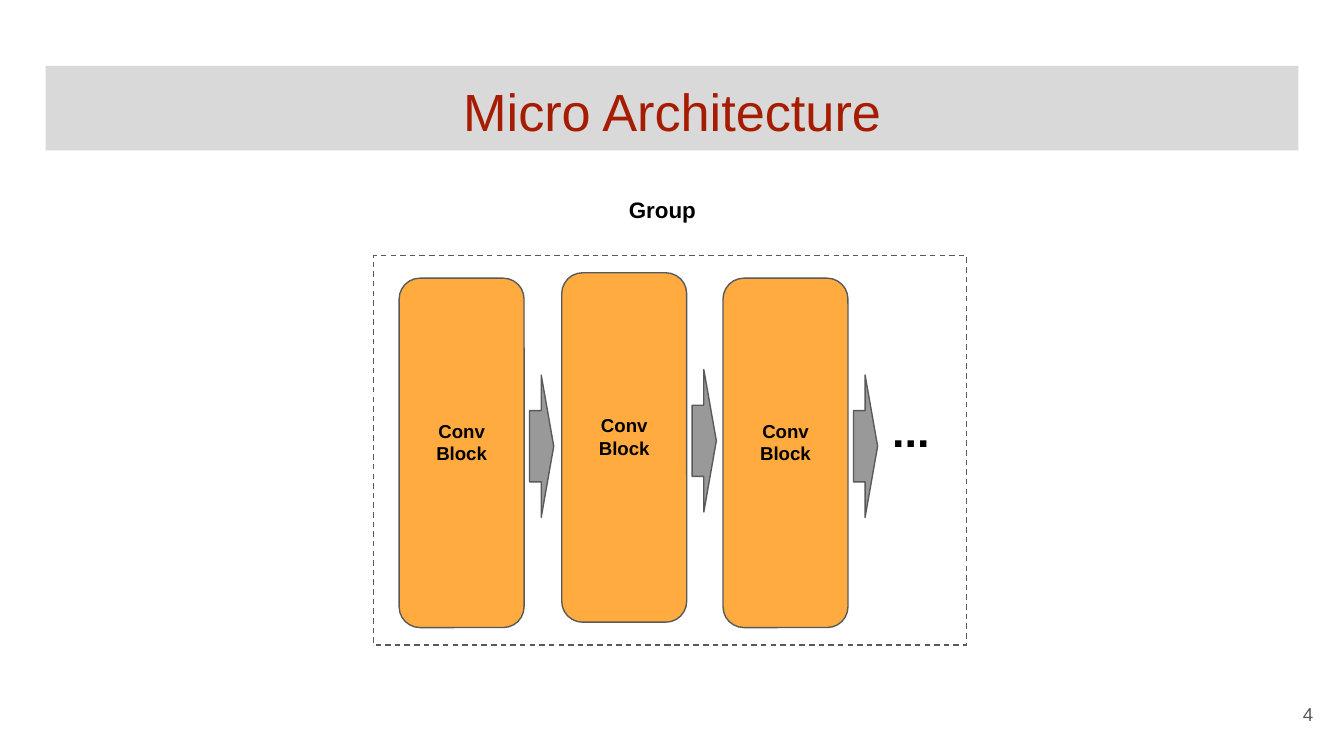
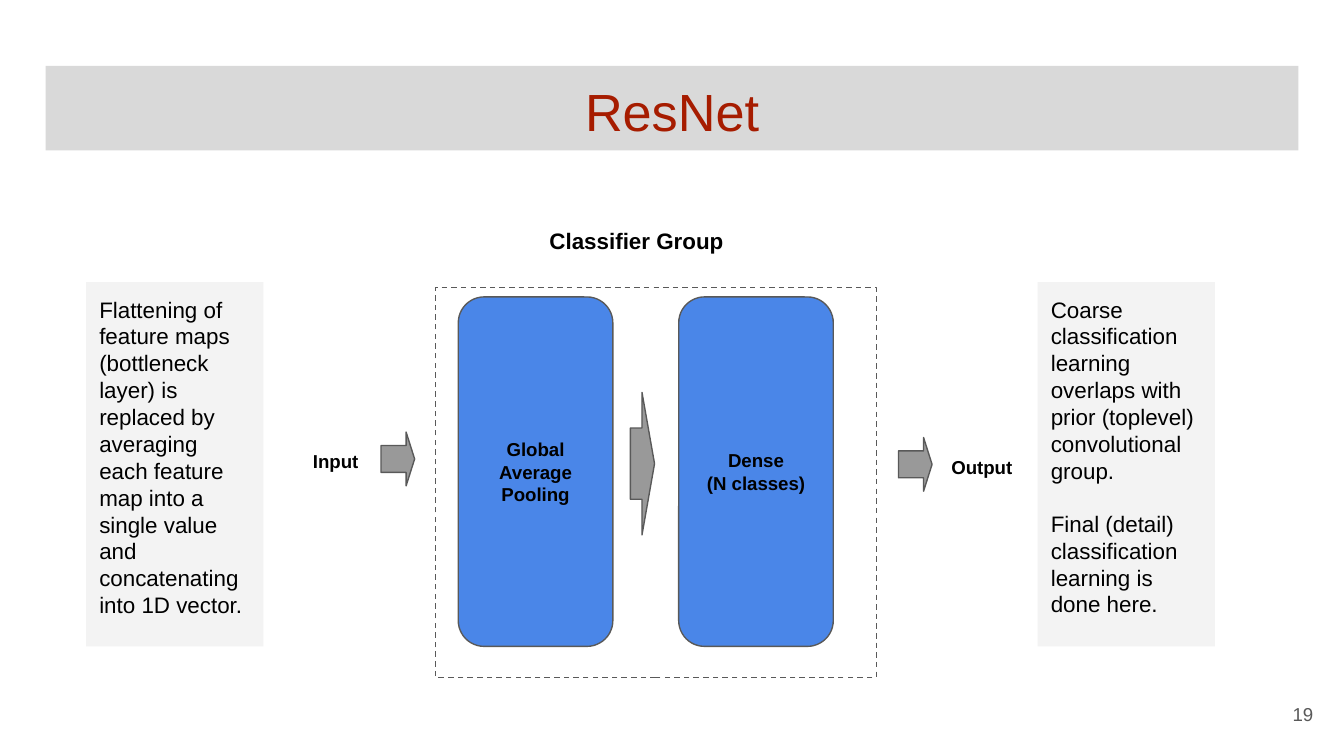
"""Build two slides that show network blocks as diagrams."""
from pptx import Presentation, util as u
from pptx.dml.color import RGBColor
from pptx.enum import dml, shapes, text

PX = 9144
SLIDE_WIDTH = 1000
FONT = "Arial"
BLACK, GREY, RED = "000000", "595959", "A61C00"
BAND, PANEL, ARROW = "D9D9D9", "F3F3F3", "999999"
ORANGE, BLUE = "FFAB40", "4A86E8"
INSET, EMPTY_LINE = 10, 16
TITLE_BOX = (34, 49, 932, 63)
NUMBER_BOX = (927, 510, 60, 43)
BIG_ARROW, SMALL_ARROW = (106, 18, 0.517), (40, 25, 0.253)

CONV_X, CONV_TOPS = 297, (207, 203, 207)
CONV_ARROW = (53, 116)
CONV_TEXT = ["Conv\nBlock"]

CLASSIFIER_BLOCKS = [
    (341, ["Global", "Average", "Pooling"]),
    (505, ["Dense", "(N classes)"]),
]
CLASSIFIER_ARROWS = [(276, 329, SMALL_ARROW), (661, 333, SMALL_ARROW),
                     (425, 336, BIG_ARROW)]
NOTES = [
    (64, ["Flattening of feature maps (bottleneck layer) is replaced by "
          "averaging each feature map into a single value and concatenating "
          "into 1D vector."]),
    (772, ["Coarse classification learning overlaps with prior (toplevel) "
           "convolutional group.",
           "Final (detail) classification learning is done here."]),
]

SLIDES = [
    dict(title="Micro Architecture", number="4", frame=(278, 190, 441, 290),
         labels=[("Group", (458, 136, 185, 43), 12),
                 ("...", (654, 290, 83, 46), 24)]),
    dict(title="ResNet", number="19", frame=(324, 214, 328, 290),
         labels=[("Classifier Group", (399, 159, 233, 43), 12),
                 ("Input", (223, 325, 61, 32), 10),
                 ("Output", (698, 329, 89, 32), 10)]),
]


def rgb(value):
    return RGBColor.from_string(value)


def place(box):
    return [v * PX for v in box]


def paint(sp, fill=None, line=None):
    if fill:
        sp.fill.solid()
        sp.fill.fore_color.rgb = rgb(fill)
    else:
        sp.fill.background()
    if line:
        sp.line.color.rgb = rgb(line)
        sp.line.width = u.Pt(0.75)
    else:
        sp.line.fill.background()


def write(sp, paragraphs, size, color=BLACK, bold=False, align="LEFT",
          anchor="TOP", bottom=INSET, gap=0):
    tf = sp.text_frame
    tf.word_wrap = True
    tf.auto_size = text.MSO_AUTO_SIZE.NONE
    tf.vertical_anchor = text.MSO_ANCHOR[anchor]
    tf.margin_left = tf.margin_right = tf.margin_top = INSET * PX
    tf.margin_bottom = bottom * PX
    for i, line in enumerate(paragraphs):
        p = tf.add_paragraph() if i else tf.paragraphs[0]
        p.text = line
        p.alignment = text.PP_ALIGN[align]
        p.space_before = u.Pt(gap if i else 0)
        for r in p.runs:
            r.font.name, r.font.size, r.font.bold = FONT, u.Pt(size), bold
            r.font.color.rgb = rgb(color)


def add_label(s, label, box, size, **style):
    write(s.shapes.add_textbox(*place(box)), [label], size, **style)


def add_shape(s, kind, box, fill=None, line=None):
    sp = s.shapes.add_shape(shapes.MSO_SHAPE[kind], *place(box))
    sp.shadow.inherit = False
    paint(sp, fill, line)
    return sp


def add_block(s, box, fill, paragraphs, bottom=INSET):
    sp = add_shape(s, "ROUNDED_RECTANGLE", box, fill, GREY)
    sp.adjustments[0] = 0.167
    write(sp, paragraphs, 10, bold=True, align="CENTER", anchor="MIDDLE",
          bottom=bottom)


def add_arrow(s, x, y, style):
    w, h, head = style
    sp = add_shape(s, "DOWN_ARROW", (x, y, w, h), ARROW, GREY)
    sp.rotation = 270
    sp.adjustments[0], sp.adjustments[1] = 0.5, head


def add_base(prs, title, number, frame, labels):
    s = prs.slides.add_slide(prs.slide_layouts[5])
    sp = s.shapes.title
    sp.left, sp.top, sp.width, sp.height = place(TITLE_BOX)
    paint(sp, BAND)
    write(sp, [title], 28, RED, align="CENTER")
    sp = add_shape(s, "RECTANGLE", frame, line=GREY)
    sp.line.dash_style = dml.MSO_LINE.DASH
    for label, box, size in labels:
        add_label(s, label, box, size, bold=True)
    add_label(s, number, NUMBER_BOX, 10, color=GREY, align="RIGHT",
              anchor="MIDDLE")
    return s


def add_conv_blocks(s):
    dx, dy = CONV_ARROW
    for i, top in enumerate(CONV_TOPS):
        x = CONV_X + (241 * i + 1) // 2
        add_block(s, (x, top, 93, 260), ORANGE, CONV_TEXT,
                  INSET + EMPTY_LINE)
        add_arrow(s, x + dx, top + dy, BIG_ARROW)


def add_classifier(s):
    for x, lines in CLASSIFIER_BLOCKS:
        add_block(s, (x, 221, 115, 260), BLUE, lines)
    for arrow in CLASSIFIER_ARROWS:
        add_arrow(s, *arrow)
    for x, lines in NOTES:
        sp = add_shape(s, "RECTANGLE", (x, 210, 132, 271), PANEL)
        write(sp, lines, 12, gap=14)


def main():
    prs = Presentation()
    prs.slide_width = SLIDE_WIDTH * PX
    prs.slide_height = prs.slide_width * 9 // 16
    for content, draw in zip(SLIDES, (add_conv_blocks, add_classifier)):
        draw(add_base(prs, **content))
    prs.save("out.pptx")


if __name__ == "__main__":
    main()
